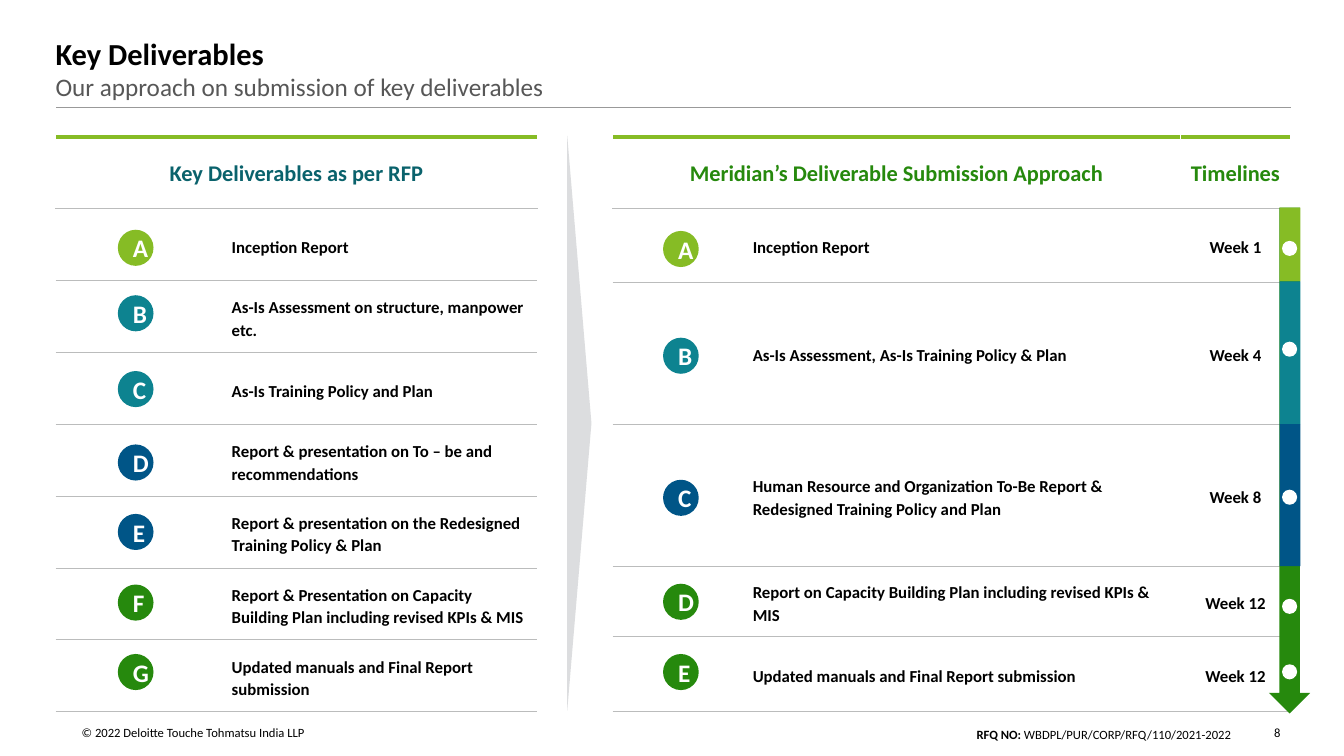
"""Build the Key Deliverables slide with two tables and a timeline arrow."""
import pptx
import pptx.util
import pptx.dml.color
import pptx.enum.shapes
import pptx.enum.text
import pptx.oxml
import pptx.oxml.ns

Cm, Pt = pptx.util.Cm, pptx.util.Pt
SHAPE = pptx.enum.shapes.MSO_SHAPE
ALIGN = pptx.enum.text.PP_ALIGN
MIDDLE = pptx.enum.text.MSO_ANCHOR.MIDDLE

COLORS = {
    "black": "000000", "white": "FFFFFF", "gray": "575757", "rule": "999999",
    "border": "BBBCBC", "chevron": "DCDDDF", "lime": "86BC25",
    "teal": "0D8390", "deep_teal": "0A626C", "navy": "005587", "green": "26890D",
}

RFP_ROWS = [
    ("A", "lime", 5.79, "Inception Report"),
    ("B", "teal", 7.44, "As-Is Assessment on structure, manpower etc."),
    ("C", "teal", 9.35, "As-Is Training Policy and Plan"),
    ("D", "navy", 11.2, "Report & presentation on To – be and recommendations"),
    ("E", "navy", 12.95, "Report & presentation on the Redesigned Training Policy & Plan"),
    ("F", "green", 14.73, "Report & Presentation on Capacity Building Plan including revised KPIs & MIS"),
    ("G", "green", 16.48, "Updated manuals and Final Report submission"),
]
APPROACH_ROWS = [
    ("A", "lime", 5.82, "Inception Report", "Week 1"),
    ("B", "teal", 8.51, "As-Is Assessment, As-Is Training Policy & Plan", "Week 4"),
    ("C", "navy", 12.09, "Human Resource and Organization To-Be Report & "
     "Redesigned Training Policy and Plan", "Week 8"),
    ("D", "green", 14.71, "Report on Capacity Building Plan including revised KPIs & MIS", "Week 12"),
    ("E", "green", 16.48, "Updated manuals and Final Report submission", "Week 12"),
]
BANDS = [("lime", 5.23, 1.86), ("teal", 7.09, 3.6), ("navy", 10.69, 3.58)]
DOT_TOPS = [6.07, 8.61, 12.34, 15.09, 16.74]


def rgb(color):
    return pptx.dml.color.RGBColor.from_string(COLORS[color])


def add_run(p, text, size, color, bold=False):
    r = p.add_run()
    r.text = text
    r.font.name = "Calibri"
    r.font.size = Pt(size)
    r.font.bold = bold
    r.font.color.rgb = rgb(color)


def add_text(s, x, y, w, h, runs, align=ALIGN.LEFT, inset=(0, 0), spacing=1.0):
    tf = s.shapes.add_textbox(Cm(x), Cm(y), Cm(w), Cm(h)).text_frame
    tf.word_wrap = True
    tf.margin_left = tf.margin_right = Cm(inset[0])
    tf.margin_top = tf.margin_bottom = Cm(inset[1])
    p = tf.paragraphs[0]
    p.alignment = align
    p.line_spacing = spacing
    for run in runs:
        add_run(p, *run)


def add_shape(s, kind, x, y, w, h, color):
    sp = s.shapes.add_shape(kind, Cm(x), Cm(y), Cm(w), Cm(h))
    sp.shadow.inherit = False
    sp.fill.solid()
    sp.fill.fore_color.rgb = rgb(color)
    sp.line.fill.background()
    return sp


def add_badge(s, x, y, letter, color):
    tf = add_shape(s, SHAPE.OVAL, x, y, 0.9, 0.91, color).text_frame
    tf.vertical_anchor = MIDDLE
    p = tf.paragraphs[0]
    p.alignment = ALIGN.CENTER
    add_run(p, letter, 18, "white", True)


def add_rule(s, x1, x2, y):
    line = s.shapes.add_connector(
        pptx.enum.shapes.MSO_CONNECTOR.STRAIGHT, Cm(x1), Cm(y), Cm(x2), Cm(y))
    line.line.color.rgb = rgb("rule")
    line.line.width = Pt(0.75)
    line._element.spPr.append(pptx.oxml.parse_xml(
        f'<a:effectLst {pptx.oxml.ns.nsdecls("a")}/>'))


def set_borders(cell, borders):
    tcPr = cell._tc.get_or_add_tcPr()
    for i, side in enumerate("LRTB"):
        color, width = borders.get(side, (None, 0))
        fill = (f'<a:solidFill><a:srgbClr val="{COLORS[color]}"/></a:solidFill>'
                if color else "<a:noFill/>")
        tcPr.insert(i, pptx.oxml.parse_xml(
            f'<a:ln{side} {pptx.oxml.ns.nsdecls("a")} w="{int(Pt(width))}">{fill}</a:ln{side}>'))


def fill_cell(cell, text, header, color, centered):
    cell.fill.solid()
    cell.fill.fore_color.rgb = rgb("white")
    cell.vertical_anchor = MIDDLE
    cell.margin_left = cell.margin_right = cell.margin_bottom = Cm(0.25)
    cell.margin_top = Cm(0.25 if header else 0.35)
    borders = {"T": ("border", 0.5), "B": ("border", 0.5)}
    if header:
        borders.update(L=("white", 0.5), R=("white", 0.5), T=("lime", 3))
    set_borders(cell, borders)
    if text:
        p = cell.text_frame.paragraphs[0]
        p.alignment = ALIGN.CENTER if centered else ALIGN.LEFT
        p.line_spacing = 1.1
        add_run(p, text, 16 if header else 12, color, True)


def add_deliverables(s, x, widths, heights, headings, heading_color, rows, badge_x):
    table = s.shapes.add_table(len(heights), len(widths), Cm(x), Cm(3.45),
                               Cm(sum(widths)), Cm(sum(heights))).table
    table.first_row = table.horz_banding = False
    for column, width in zip(table.columns, widths):
        column.width = Cm(width)
    for row, height in zip(table.rows, heights):
        row.height = Cm(height)
    for j, heading in enumerate(headings):
        fill_cell(table.cell(0, j), heading, True, heading_color, True)
    table.cell(0, 0).merge(table.cell(0, 1))
    for i, (letter, color, top, *texts) in enumerate(rows, 1):
        for j, text in enumerate(["", *texts]):
            fill_cell(table.cell(i, j), text, False, "black", j == 2)
        add_badge(s, badge_x, top, letter, color)


def add_timeline(s):
    add_shape(s, SHAPE.DOWN_ARROW, 31.98, 5.23, 1.04, 12.75, "green")
    for color, top, height in BANDS:
        add_shape(s, SHAPE.RECTANGLE, 32.25, top, 0.52, height, color)
    for top in DOT_TOPS:
        add_shape(s, SHAPE.OVAL, 32.31, top, 0.38, 0.38, "white")


def main():
    prs = pptx.Presentation()
    prs.slide_width, prs.slide_height = Cm(33.87), Cm(19.05)
    s = prs.slides.add_slide(prs.slide_layouts[6])
    add_text(s, 2.06, 18.26, 14.88, 0.38,
             [("© 2022 Deloitte Touche Tohmatsu India LLP", 9, "black")])
    add_text(s, 32.11, 18.26, 0.6, 0.38, [("8", 9, "black")])
    add_text(s, 14.33, 18.14, 16.94, 0.66,
             [("RFQ NO: ", 9, "black", True),
              ("WBDPL/PUR/CORP/RFQ/110/2021-2022", 9, "black")],
             ALIGN.RIGHT, (0.25, 0.13), 1.14)
    add_text(s, 1.4, 0.89, 31.09, 0.94, [("Key Deliverables", 21.8, "black", True)])
    add_text(s, 1.4, 1.8, 31.09, 0.85,
             [("Our approach on submission of key deliverables", 18, "gray")])
    add_rule(s, 1.42, 32.54, 2.72)
    add_deliverables(s, 1.4, [4.19, 7.95], [1.81] * 8,
                     ["Key Deliverables as per RFP", ""], "deep_teal", RFP_ROWS, 2.97)
    add_deliverables(s, 15.44, [3.28, 11.03, 2.77], [1.8, 1.86, 3.58, 3.58, 1.76, 1.89],
                     ["Meridian’s Deliverable Submission Approach", "", "Timelines"],
                     "green", APPROACH_ROWS, 16.71)
    chevron = add_shape(s, SHAPE.ISOSCELES_TRIANGLE, 7.36, 10.36, 14.48, 0.61, "chevron")
    chevron.rotation = 90
    add_timeline(s)
    prs.save("out.pptx")


if __name__ == "__main__":
    main()
